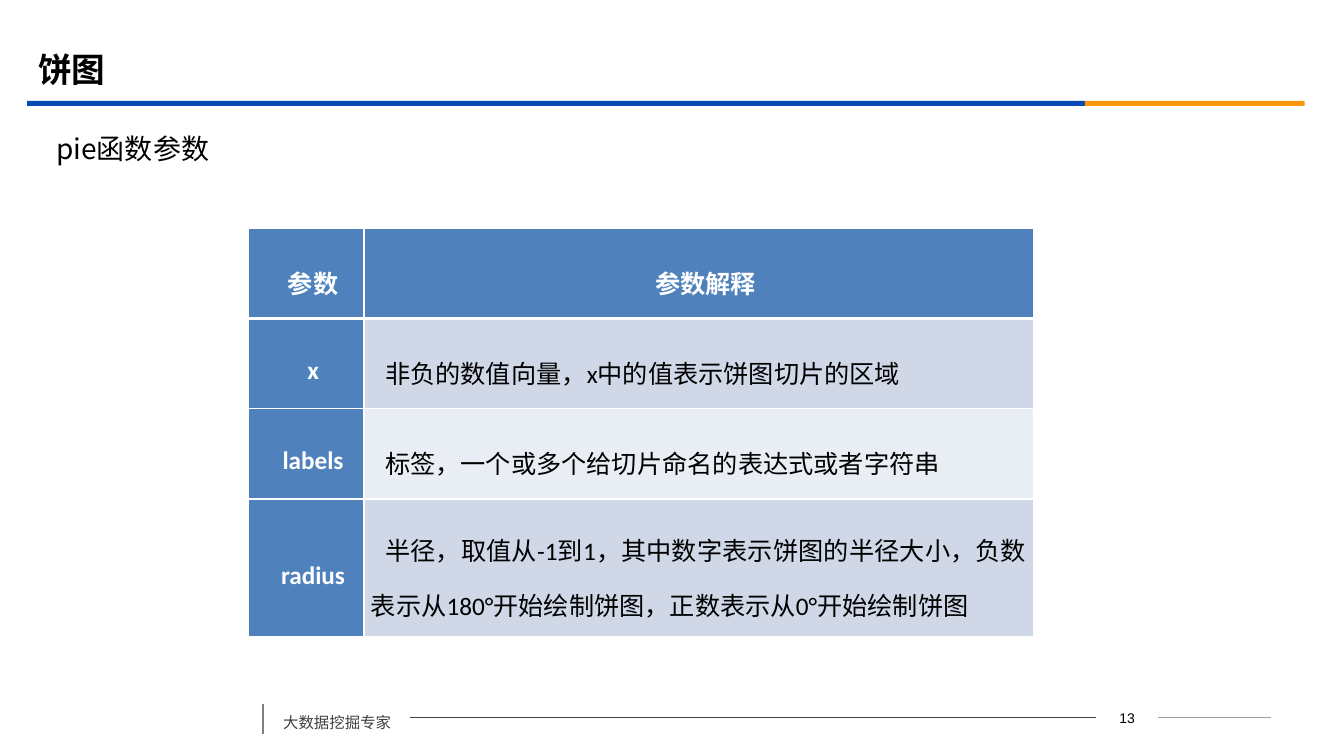
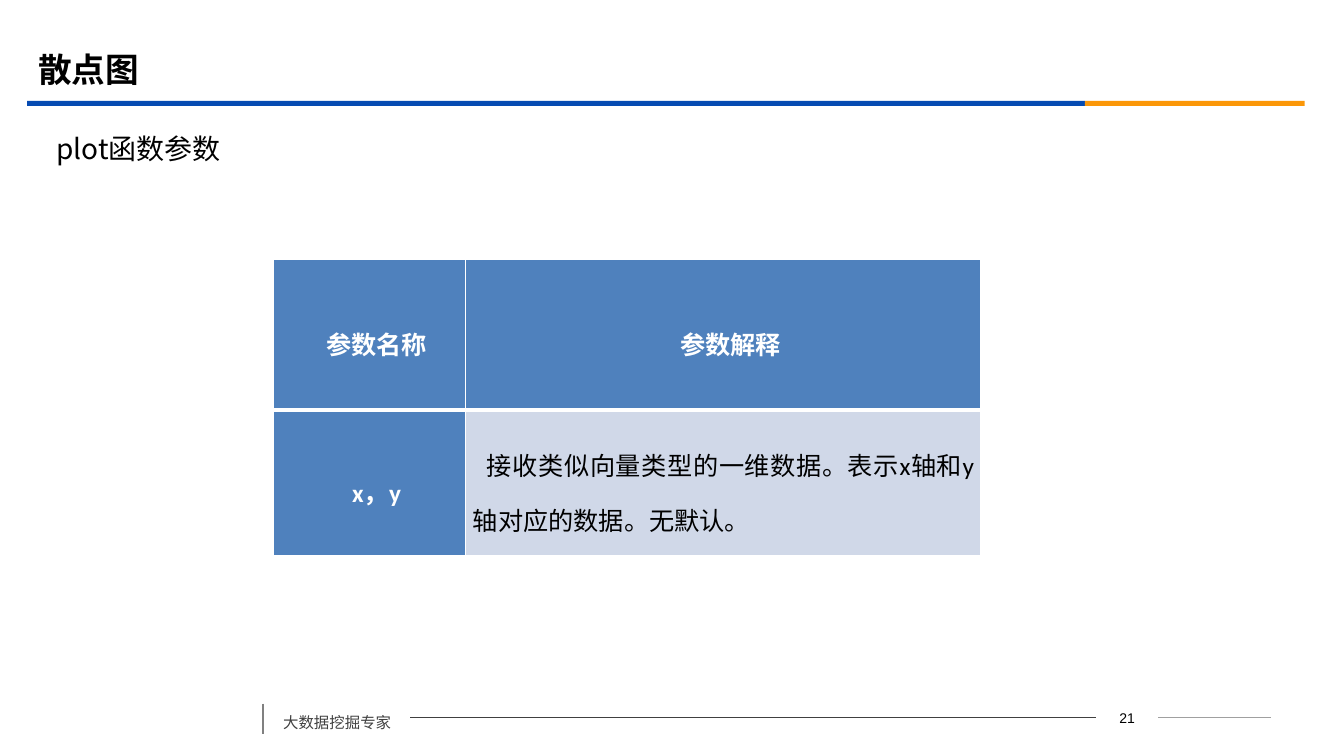
from dataclasses import dataclass

from lxml.etree import SubElement
from pptx import Presentation
from pptx.dml.color import RGBColor
from pptx.enum.shapes import MSO_CONNECTOR, MSO_SHAPE
from pptx.enum.text import MSO_ANCHOR, PP_ALIGN
from pptx.oxml.ns import qn
from pptx.util import Inches, Pt

COLORS = {
    "text": "000000",
    "white": "FFFFFF",
    "blue": "064BB2",
    "orange": "FB9708",
    "footer": "404040",
    "footer_bar": "808080",
    "footer_tail": "A0A0A0",
    "header": "4F81BD",
    "band_dark": "D0D8E8",
    "band_light": "E9EDF4",
}
CJK = "Noto Sans CJK SC"
FOOTER_Y = 7.12


@dataclass(frozen=True)
class TextStyle:
    size: float
    font: str = CJK
    color: str = "text"
    bold: bool = False


@dataclass(frozen=True)
class Box:
    left: float
    top: float
    width: float
    height: float

    def lengths(self) -> list:
        return [Inches(v) for v in (self.left, self.top, self.width, self.height)]


@dataclass(frozen=True)
class ParameterSlide:
    title: str
    subtitle: str
    number: int
    left: float
    top: float
    cols: tuple
    heights: tuple
    rows: tuple


TITLE = TextStyle(24, bold=True)
SUBTITLE = TextStyle(20)
FOOTER = TextStyle(11, color="footer")
PAGE_NUMBER = TextStyle(10, "Arial")
CELL_HEAD = TextStyle(18, "Calibri", "white", True)
CELL_BODY = TextStyle(18, "Calibri")

SLIDES = (
    ParameterSlide(
        "饼图", "pie函数参数", 13, 2.46, 2.27, (1.15, 6.64), (0.89, 0.89, 0.9, 1.37),
        (
            ("参数", "参数解释"),
            ("x", "非负的数值向量，x中的值表示饼图切片的区域"),
            ("labels", "标签，一个或多个给切片命名的表达式或者字符串"),
            ("radius", "半径，取值从-1到1，其中数字表示饼图的半径大小，"
                       "负数表示从180°开始绘制饼图，正数表示从0°开始绘制饼图"),
        ),
    ),
    ParameterSlide(
        "散点图", "plot函数参数", 21, 2.71, 2.57, (1.91, 5.11), (1.5, 1.44),
        (
            ("参数名称", "参数解释"),
            ("x，y", "接收类似向量类型的一维数据。表示x轴和y轴对应的数据。无默认。"),
        ),
    ),
)


def rgb(name: str) -> RGBColor:
    return RGBColor.from_string(COLORS[name])


def add_run(p, text: str, style: TextStyle) -> None:
    r = p.add_run()
    r.text = text
    r.font.size = Pt(style.size)
    r.font.bold = style.bold
    r.font.name = style.font
    r.font.color.rgb = rgb(style.color)
    SubElement(r.font._element, qn("a:ea")).set("typeface", CJK)


def add_text(slide, box: Box, text: str, style: TextStyle,
             align=PP_ALIGN.LEFT, spacing: float = 1.0):
    sp = slide.shapes.add_textbox(*box.lengths())
    tf = sp.text_frame
    tf.word_wrap = True
    tf.vertical_anchor = MSO_ANCHOR.MIDDLE
    p = tf.paragraphs[0]
    p.alignment = align
    p.line_spacing = spacing
    add_run(p, text, style)
    return sp


def add_band(slide, box: Box, color: str) -> None:
    sp = slide.shapes.add_shape(MSO_SHAPE.RECTANGLE, *box.lengths())
    sp.shadow.inherit = False
    sp.fill.solid()
    sp.fill.fore_color.rgb = rgb(color)
    sp.line.fill.background()


def add_line(slide, start: tuple, end: tuple, color: str, width: float = 0.75):
    line = slide.shapes.add_connector(
        MSO_CONNECTOR.STRAIGHT, *(Inches(v) for v in start + end))
    line.line.color.rgb = rgb(color)
    line.line.width = Pt(width)
    SubElement(line._element.spPr, qn("a:effectLst"))
    return line


def add_frame(slide, number: int) -> None:
    """Draw the title rule and the footer."""
    add_band(slide, Box(0.27, 1, 10.49, 0.05), "blue")
    add_band(slide, Box(10.76, 1, 2.18, 0.05), "orange")
    label = add_text(slide, Box(2.71, FOOTER_Y - 0.19, 1.36, 0.38),
                     "大数据挖掘专家", FOOTER, spacing=1.5)
    page = add_text(slide, Box(10.87, FOOTER_Y - 0.12, 0.62, 0.24),
                    str(number), PAGE_NUMBER, PP_ALIGN.CENTER)
    add_line(slide, (2.61, 6.98), (2.61, 7.28), "footer_bar", 1.25)
    rule = add_line(slide, (4.07, FOOTER_Y), (10.87, FOOTER_Y), "footer")
    rule.begin_connect(label, 3)
    rule.end_connect(page, 1)
    tail = add_line(slide, (11.49, FOOTER_Y), (12.61, FOOTER_Y), "footer_tail")
    tail.begin_connect(page, 3)


def set_borders(cell, row: int) -> None:
    """Give white borders, thicker between the header and the first row."""
    widths = {"L": 1, "R": 1, "T": 3 if row == 1 else 1, "B": 3 if row == 0 else 1}
    tcPr = cell._tc.get_or_add_tcPr()
    for i, (side, width) in enumerate(widths.items()):
        ln = tcPr.makeelement(qn(f"a:ln{side}"), {"w": str(Pt(width))})
        fill = SubElement(ln, qn("a:solidFill"))
        SubElement(fill, qn("a:srgbClr")).set("val", COLORS["white"])
        tcPr.insert(i, ln)


def fill_cell(cell, text: str, row: int, col: int) -> None:
    is_head = row == 0 or col == 0
    band = "band_dark" if row % 2 else "band_light"
    cell.fill.solid()
    cell.fill.fore_color.rgb = rgb("header" if is_head else band)
    cell.margin_left = cell.margin_right = Inches(0.07)
    cell.margin_top = cell.margin_bottom = Inches(0)
    cell.vertical_anchor = MSO_ANCHOR.MIDDLE
    set_borders(cell, row)
    p = cell.text_frame.paragraphs[0]
    p.alignment = PP_ALIGN.CENTER if is_head else PP_ALIGN.JUSTIFY
    p.line_spacing = 1.5
    p._p.get_or_add_pPr().set("indent", str(Inches(0.14)))
    add_run(p, text, CELL_HEAD if is_head else CELL_BODY)


def add_parameter_table(slide, data: ParameterSlide) -> None:
    box = Box(data.left, data.top, sum(data.cols), sum(data.heights))
    table = slide.shapes.add_table(
        len(data.rows), len(data.cols), *box.lengths()).table
    table.first_row = table.horz_banding = False
    for column, width in zip(table.columns, data.cols):
        column.width = Inches(width)
    for i, (height, texts) in enumerate(zip(data.heights, data.rows)):
        table.rows[i].height = Inches(height)
        for j, text in enumerate(texts):
            fill_cell(table.cell(i, j), text, i, j)


def main() -> None:
    prs = Presentation()
    prs.slide_width, prs.slide_height = Inches(13.33), Inches(7.5)
    for data in SLIDES:
        slide = prs.slides.add_slide(prs.slide_layouts[6])
        add_frame(slide, data.number)
        add_parameter_table(slide, data)
        add_text(slide, Box(0.28, 0.39, 12, 0.58), data.title, TITLE)
        add_text(slide, Box(0.46, 1.24, 12.15, 0.47), data.subtitle, SUBTITLE)
    prs.save("out.pptx")


if __name__ == "__main__":
    main()
